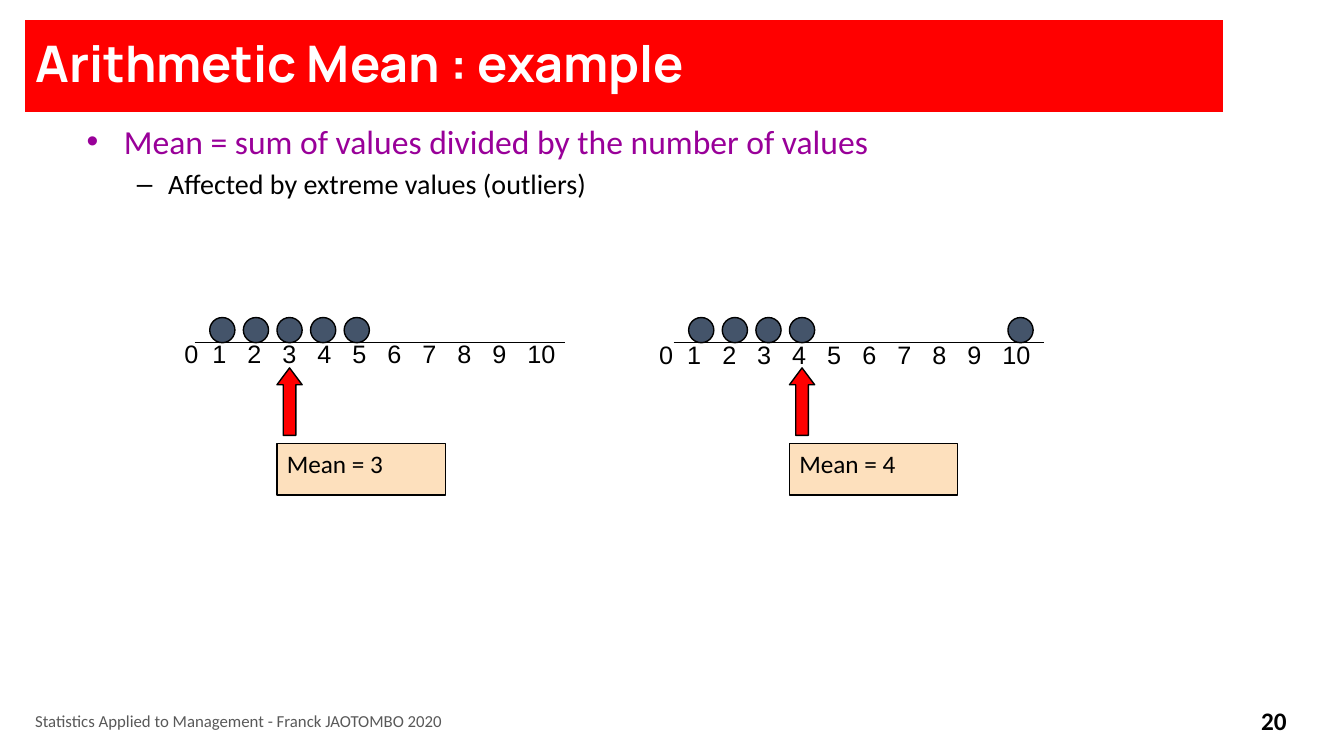
from lxml import etree
from pptx import Presentation
from pptx.dml.color import RGBColor
from pptx.enum.shapes import MSO_CONNECTOR as CONN, MSO_SHAPE as SHAPE
from pptx.enum.text import MSO_ANCHOR as ANCHOR, PP_ALIGN as ALIGN
from pptx.oxml.ns import qn
from pptx.util import Inches, Pt

COLORS = {"red": "FF0000", "white": "FFFFFF", "black": "000000", "grey": "595959",
          "purple": "990099", "dot": "44546A", "box": "FDE0BD"}


def write(shape, text, size, color="black", font="Calibri", bold=False,
          anchor=ANCHOR.TOP, align=ALIGN.LEFT):
    """Fill a shape with text, one paragraph per line, in one style."""
    tf = shape.text_frame
    tf.text = text
    tf.word_wrap = True
    tf.vertical_anchor = anchor
    for p in tf.paragraphs:
        p.alignment = align
        for r in p.runs:
            r.font.name, r.font.size, r.font.bold = font, Pt(size), bold
            r.font.color.rgb = RGBColor.from_string(COLORS[color])
    return tf


def outlined(kind, left, top, width, height, fill):
    sp = s.shapes.add_shape(kind, Inches(left), Inches(top), Inches(width), Inches(height))
    sp.shadow.inherit = False
    sp.fill.solid()
    sp.fill.fore_color.rgb = RGBColor.from_string(COLORS[fill])
    sp.line.color.rgb = RGBColor.from_string(COLORS["black"])
    sp.line.width = Pt(1)
    return sp


prs = Presentation()
prs.slide_width, prs.slide_height = Inches(13.33), Inches(7.5)
s = prs.slides.add_slide(prs.slide_layouts[5])

# Title banner
title = s.shapes.title
title.left, title.top, title.width, title.height = map(Inches, (0.25, 0.2, 11.88, 0.91))
title.fill.solid()
title.fill.fore_color.rgb = RGBColor.from_string(COLORS["red"])
tf = write(title, "Arithmetic Mean : example", 36, "white", "Manrope", True, ANCHOR.MIDDLE)
tf.paragraphs[0].line_spacing = 0.9

# Footer and slide number
footer = s.shapes.add_textbox(Inches(0.25), Inches(6.95), Inches(9.4), Inches(0.4))
write(footer, "Statistics Applied to Management - Franck JAOTOMBO 2020", 12, "grey",
      anchor=ANCHOR.MIDDLE)
number = s.shapes.add_textbox(Inches(12.22), Inches(6.95), Inches(0.83), Inches(0.4))
write(number, "20", 18, bold=True, anchor=ANCHOR.MIDDLE, align=ALIGN.CENTER)

# Bulleted definition
body = s.shapes.add_textbox(Inches(0.76), Inches(1.15), Inches(11.98), Inches(5.35))
tf = write(body, "Mean = sum of values divided by the number of values\n"
                 "Affected by extreme values (outliers)", 20)
main, detail = tf.paragraphs
for p, bullet, margin, hang in ((main, "•", 0.37, 0.37), (detail, "–", 0.81, 0.31)):
    pPr = p._p.get_or_add_pPr()
    pPr.set("marL", str(Inches(margin)))
    pPr.set("indent", str(-Inches(hang)))
    etree.SubElement(pPr, qn("a:buFont")).set("typeface", "Arial")
    etree.SubElement(pPr, qn("a:buChar")).set("char", bullet)
main.runs[0].font.size = Pt(24)
main.runs[0].font.color.rgb = RGBColor.from_string(COLORS["purple"])
detail.level = 1
detail.space_before = Pt(4)

# Dot plots: first dot's left edge, scale's left and top, dots in steps, mean's step
STEP, DOT, AXIS_Y = 1 / 3, 0.25, 3.4
PLOTS = ((2.08, 1.73, 3.31, (0, 1, 2, 3, 4), 2),
         (6.83, 6.44, 3.32, (0, 1, 2, 3, 9.5), 3))
for first, scale_left, scale_top, dots, mean in PLOTS:
    axis = s.shapes.add_connector(CONN.STRAIGHT, Inches(first - 0.15), Inches(AXIS_Y),
                                  Inches(first + 3.52), Inches(AXIS_Y))
    axis.line.color.rgb = RGBColor.from_string(COLORS["black"])
    axis.line.width = Pt(1)
    etree.SubElement(axis._element.spPr, qn("a:effectLst"))

    scale = s.shapes.add_textbox(Inches(scale_left), Inches(scale_top), Inches(4.36), Inches(0.4))
    tf = write(scale, "\t".join(str(n) for n in range(11)), 18, font="Arial")
    tabs = etree.SubElement(tf.paragraphs[0]._p.get_or_add_pPr(), qn("a:tabLst"))
    for n in range(10):
        tab = etree.SubElement(tabs, qn("a:tab"))
        tab.set("pos", str(Pt(20 + 25 * n)))
        tab.set("algn", "l")

    for step in dots:
        outlined(SHAPE.OVAL, first + step * STEP, AXIS_Y - DOT, DOT, DOT, "dot")

    mean_left = first + mean * STEP
    arrow = outlined(SHAPE.UP_ARROW, mean_left, AXIS_Y + 0.25, DOT, 0.67, "red")
    arrow.adjustments[1] = 0.67
    box = outlined(SHAPE.RECTANGLE, mean_left, AXIS_Y + 1, 1.67, 0.51, "box")
    write(box, f"Mean = {mean + 1}", 18)

prs.save("out.pptx")
